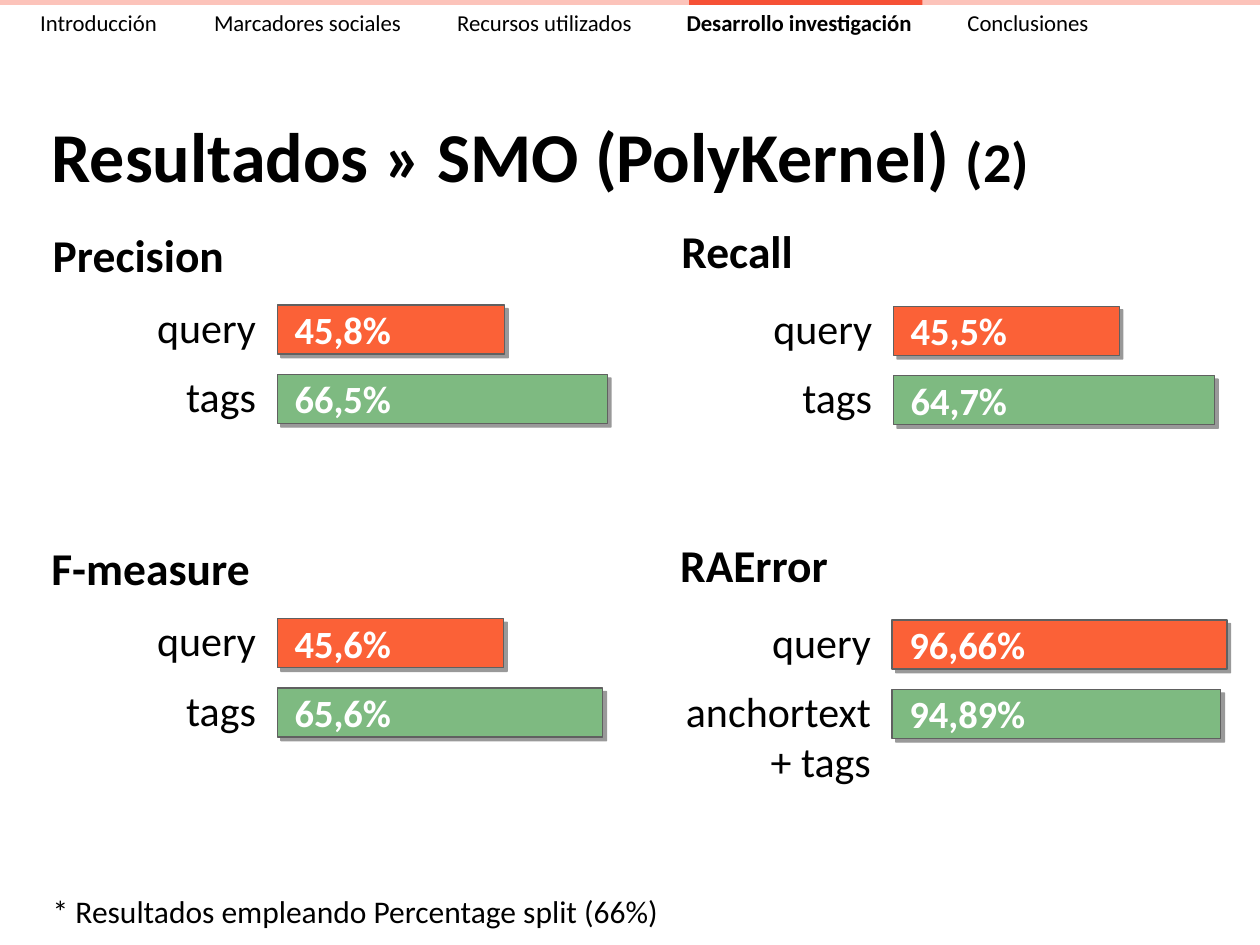
"""Build the SMO (PolyKernel) results slide with four pairs of bars."""
import pptx
import pptx.dml.color
import pptx.enum.shapes
import pptx.enum.text
import pptx.oxml
import pptx.oxml.ns
import pptx.util
from lxml import etree

Inches = pptx.util.Inches
Pt = pptx.util.Pt
ALIGN = pptx.enum.text.PP_ALIGN

COLORS = {"text": "000000", "value": "FFFFFF", "query": "FB6137", "tags": "7EBA81",
          "outline": "606060", "rule": "FCC3BA", "current": "F65136", "shadow": "000000"}
FONT = "Calibri"
TITLE = [("Resultados » SMO (PolyKernel) ", 40), ("(2)", 32)]
SECTIONS = [("Introducción", 0), ("Marcadores sociales", 1.38), ("Recursos utilizados", 3.31),
            ("Desarrollo investigación", 5.13), ("Conclusiones", 7.36)]
CURRENT = "Desarrollo investigación"
NOTE = "* Resultados empleando Percentage split (66%)"
PANELS = [
    {"name": "Precision", "heading": (0.32, 1.75), "bars": (2.2, 2.42), "full": 3.94,
     "rows": [("query", "45,8%"), ("tags", "66,5%")]},
    {"name": "Recall", "heading": (5.31, 1.72), "bars": (7.09, 2.43), "full": 3.94,
     "rows": [("query", "45,5%"), ("tags", "64,7%")]},
    {"name": "F-measure", "heading": (0.31, 4.24), "bars": (2.2, 4.91), "full": 3.94,
     "rows": [("query", "45,6%"), ("tags", "65,6%")]},
    {"name": "RAError", "heading": (5.3, 4.21), "bars": (7.08, 4.92), "full": 2.75,
     "rows": [("query", "96,66%"), ("anchortext + tags", "94,89%")]},
]
ROW_PITCH = 0.55
BAR_HEIGHT = 0.39
LABEL_WIDTH = 1.72
LABEL_GAP = 0.07


def rgb(name):
    return pptx.dml.color.RGBColor.from_string(COLORS[name])


def add_run(p, text, size, bold=False, color="text"):
    r = p.add_run()
    r.text = text
    r.font.name = FONT
    r.font.size = Pt(size)
    r.font.bold = bold
    r.font.color.rgb = rgb(color)


def add_box(shapes, left, top, width, height, align=ALIGN.LEFT):
    tf = shapes.add_textbox(Inches(left), Inches(top), Inches(width), Inches(height)).text_frame
    tf.word_wrap = True
    p = tf.paragraphs[0]
    p.alignment = align
    return p


def add_rect(shapes, left, top, width, height, fill):
    sp = shapes.add_shape(pptx.enum.shapes.MSO_SHAPE.RECTANGLE,
                          Inches(left), Inches(top), Inches(width), Inches(height))
    sp.shadow.inherit = False
    sp.fill.solid()
    sp.fill.fore_color.rgb = rgb(fill)
    sp.line.fill.background()
    return sp


def add_bar(shapes, left, top, width, fill):
    sp = add_rect(shapes, left, top, width, BAR_HEIGHT, fill)
    sp.line.color.rgb = rgb("outline")
    sp.line.width = Pt(0.75)
    qn = pptx.oxml.ns.qn
    effects = sp._element.spPr.find(qn("a:effectLst"))
    shadow = etree.SubElement(effects, qn("a:outerShdw"), dist=str(Pt(3)),
                              dir=str(45 * 60000), algn="tl", rotWithShape="0")
    color = etree.SubElement(shadow, qn("a:srgbClr"), val=COLORS["shadow"])
    etree.SubElement(color, qn("a:alpha"), val="40000")


def add_title(s):
    sp = s.shapes.title
    sp.left, sp.top, sp.width, sp.height = (Inches(v) for v in (0.31, 0.86, 9.61, 0.74))
    tf = sp.text_frame
    tf.auto_size = pptx.enum.text.MSO_AUTO_SIZE.NONE
    tf.vertical_anchor = pptx.enum.text.MSO_ANCHOR.MIDDLE
    p = tf.paragraphs[0]
    p.alignment = ALIGN.LEFT
    for text, size in TITLE:
        add_run(p, text, size, bold=True)


def add_panel(s, panel):
    add_run(add_box(s.shapes, *panel["heading"], 1.87, 0.6), panel["name"], 26, bold=True)
    left, first_top = panel["bars"]
    for i, (label, value) in enumerate(panel["rows"]):
        top = first_top + i * ROW_PITCH
        share = float(value.rstrip("%").replace(",", ".")) / 100
        add_bar(s.shapes, left, top, share * panel["full"], ("query", "tags")[i])
        p = add_box(s.shapes, left + 0.04, top - 0.04, 1.14, 0.6)
        add_run(p, value, 22, bold=True, color="value")
        p = add_box(s.shapes, left - LABEL_GAP - LABEL_WIDTH, top - 0.08,
                    LABEL_WIDTH, 0.6, ALIGN.RIGHT)
        add_run(p, label, 24)


def add_navigation(s):
    shapes = s.shapes.add_group_shape().shapes
    add_rect(shapes, 0, 0, 10, 0.04, "rule")
    p = add_box(shapes, 0.22, 0.02, 9.65, 0.32)
    qn = pptx.oxml.ns.qn
    tabs = etree.SubElement(p._p.get_or_add_pPr(), qn("a:tabLst"))
    for i, (name, position) in enumerate(SECTIONS):
        if i:
            etree.SubElement(tabs, qn("a:tab"), pos=str(Inches(position)), algn="l")
            add_run(p, "\t", 13)
        add_run(p, name, 13, bold=name == CURRENT)
    add_rect(shapes, 5.47, 0, 1.85, 0.04, "current")


def main():
    prs = pptx.Presentation()
    prs.slide_width, prs.slide_height = Inches(10), Inches(7.5)
    s = prs.slides.add_slide(prs.slide_layouts[5])
    add_title(s)
    for panel in PANELS:
        add_panel(s, panel)
    add_navigation(s)
    add_run(add_box(s.shapes, 0.32, 7.03, 9.37, 0.39), NOTE, 18)
    prs.save("out.pptx")


if __name__ == "__main__":
    main()
